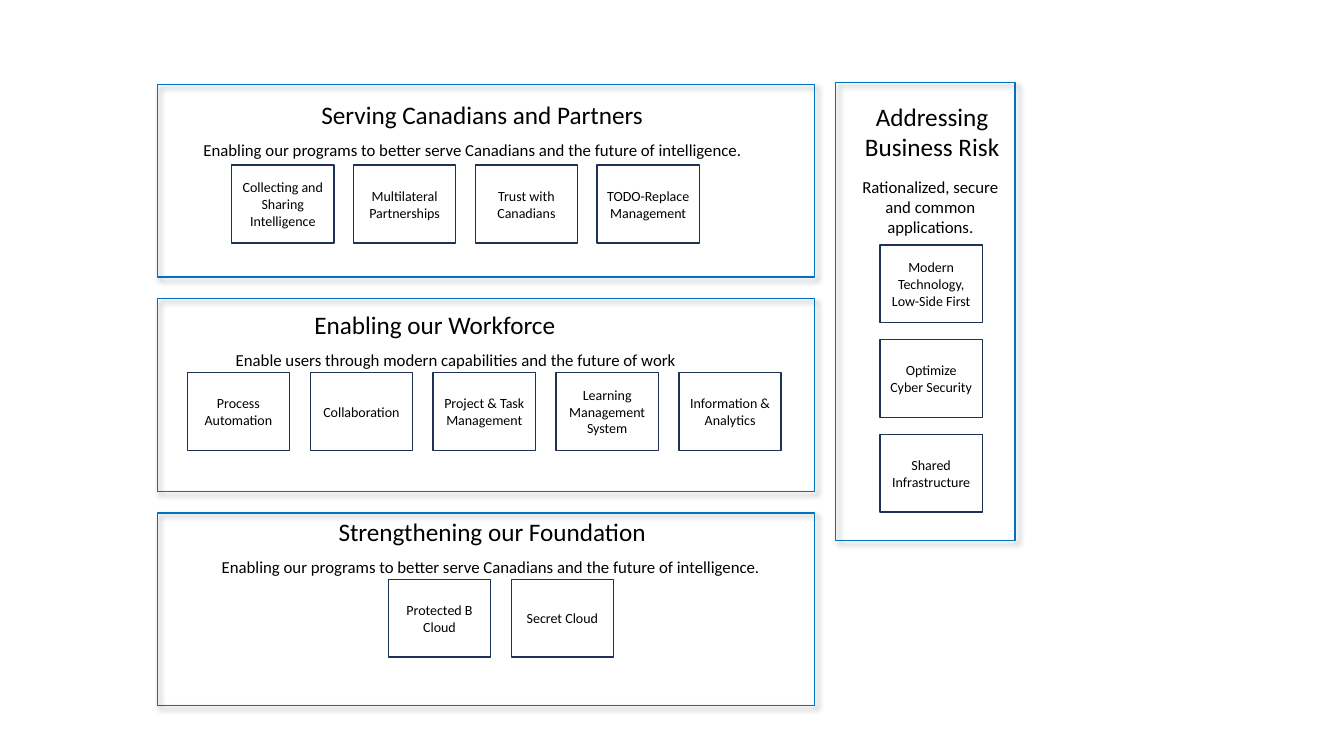
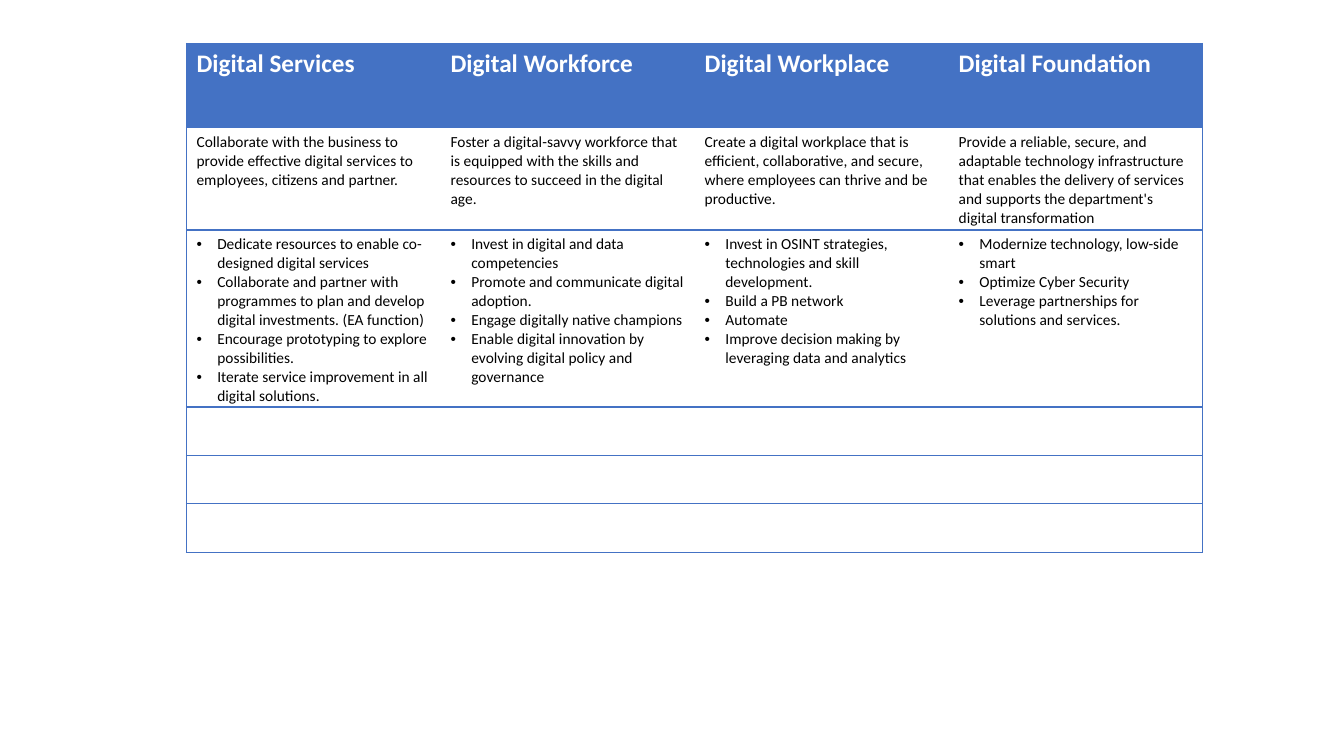
"""Build a two-slide digital strategy deck: priority map and pillar table."""
from lxml import etree
from pptx import Presentation
from pptx.dml.color import RGBColor
from pptx.enum.shapes import MSO_SHAPE
from pptx.enum.text import MSO_ANCHOR, MSO_AUTO_SIZE, PP_ALIGN
from pptx.oxml.ns import qn
from pptx.util import Pt

BLACK = RGBColor(0x00, 0x00, 0x00)
WHITE = RGBColor(0xFF, 0xFF, 0xFF)
NAVY = RGBColor(0x1E, 0x32, 0x56)
FRAME_BLUE = RGBColor(0x00, 0x70, 0xC0)
TABLE_BLUE = RGBColor(0x44, 0x72, 0xC4)
FONT = "Calibri"
TILE_WIDTH, TILE_HEIGHT = 73, 55.5


def write(frame, text, size, align=PP_ALIGN.LEFT, color=BLACK, bold=False):
    frame.text = text
    for paragraph in frame.paragraphs:
        paragraph.alignment = align
        for run in paragraph.runs:
            run.font.name = FONT
            run.font.size = Pt(size)
            run.font.bold = bold
            run.font.color.rgb = color


def add_box(shapes, left, top, width, height, outline):
    box = shapes.add_shape(MSO_SHAPE.RECTANGLE, Pt(left), Pt(top), Pt(width), Pt(height))
    box.shadow.inherit = False
    box.fill.background()
    box.line.color.rgb = outline
    box.line.width = Pt(1)
    return box


deck = Presentation()
deck.slide_width, deck.slide_height = Pt(960), Pt(540)
blank = deck.slide_layouts[6]

priorities = deck.slides.add_slide(blank)
pillar_group = priorities.shapes.add_group_shape()
risk_group = priorities.shapes.add_group_shape()

PROGRAMS = "Enabling our programs to better serve Canadians and the future of intelligence."
# group, wrapped, (text, left, top, width, height) twice, tile origin, tile step, tiles
sections = [
    (pillar_group, False,
     ("Serving Canadians and Partners", 222.5, 67.7, 247, 29),
     (PROGRAMS, 138.2, 96.5, 403, 22),
     (165.5, 118), (87, 0),
     ["Collecting and Sharing Intelligence", "Multilateral Partnerships",
      "Trust with Canadians", "TODO-Replace\nManagement"]),
    (pillar_group, False,
     ("Enabling our Workforce", 217.4, 217.4, 188.6, 29),
     ("Enable users through modern capabilities and the future of work",
      161.3, 246.2, 332, 22),
     (133.8, 266.2), (87.8, 0),
     ["Process Automation", "Collaboration", "Project & Task Management",
      "Learning Management System", "Information & Analytics"]),
    (pillar_group, False,
     ("Strengthening our Foundation", 234.7, 365.2, 237, 29),
     (PROGRAMS, 151.2, 394.4, 403, 22),
     (277.4, 413.8), (87.8, 0),
     ["Protected B Cloud", "Secret Cloud"]),
    (risk_group, True,
     ("Addressing Business Risk", 594.8, 69, 142, 51),
     ("Rationalized, secure and common applications.", 605.5, 122.4, 118, 51),
     (628.6, 175), (0, 67.7),
     ["Modern Technology, Low-Side First", "Optimize Cyber Security",
      "Shared Infrastructure"]),
]
for group, wrapped, heading, summary, origin, step, tiles in sections:
    for (text, left, top, width, height), size in ((heading, 18), (summary, 12)):
        label = group.shapes.add_textbox(Pt(left), Pt(top), Pt(width), Pt(height))
        write(label.text_frame, text, size, PP_ALIGN.CENTER if wrapped else PP_ALIGN.LEFT)
        label.text_frame.word_wrap = wrapped
        label.text_frame.auto_size = MSO_AUTO_SIZE.SHAPE_TO_FIT_TEXT
    for index, text in enumerate(tiles):
        tile = add_box(group.shapes, origin[0] + index * step[0],
                       origin[1] + index * step[1], TILE_WIDTH, TILE_HEIGHT, NAVY)
        tile.text_frame.word_wrap = True
        tile.text_frame.vertical_anchor = MSO_ANCHOR.MIDDLE
        write(tile.text_frame, text, 10, PP_ALIGN.CENTER)

panels = [(597, 59, 128, 327)] + [(112.3, 60.4 + 153 * row, 469.5, 137.5) for row in range(3)]
for bounds in panels:
    panel = add_box(priorities.shapes, *bounds, FRAME_BLUE)
    effects = panel._element.spPr.find(qn("a:effectLst"))
    shadow = etree.SubElement(effects, qn("a:outerShdw"), blurRad=str(Pt(4)),
                              dist=str(Pt(3)), dir="2700000", algn="tl", rotWithShape="0")
    tint = etree.SubElement(shadow, qn("a:srgbClr"), val=str(BLACK))
    etree.SubElement(tint, qn("a:alpha"), val="40000")

pillars = [
    ("Digital Services",
     "Collaborate with the business to provide effective digital services to employees, "
     "citizens and partner.",
     ["Dedicate resources to enable co-designed digital services",
      "Collaborate and partner with programmes to plan and develop digital investments. "
      "(EA function)",
      "Encourage prototyping to explore possibilities.",
      "Iterate service improvement in all digital solutions."]),
    ("Digital Workforce",
     "Foster a digital-savvy workforce that is equipped with the skills and resources to "
     "succeed in the digital age.",
     ["Invest in digital and data competencies",
      "Promote and communicate digital adoption.",
      "Engage digitally native champions",
      "Enable digital innovation by evolving digital policy and governance"]),
    ("Digital Workplace",
     "Create a digital workplace that is efficient, collaborative, and secure, where "
     "employees can thrive and be productive.",
     ["Invest in OSINT strategies, technologies and skill development.",
      "Build a PB network",
      "Automate",
      "Improve decision making by leveraging data and analytics"]),
    ("Digital Foundation",
     "Provide a reliable, secure, and adaptable technology infrastructure that enables the "
     "delivery of services and supports the department's digital transformation",
     ["Modernize technology, low-side smart",
      "Optimize Cyber Security",
      "Leverage partnerships for solutions and services."]),
]
row_heights = [60, 73, 126.5, 34.6, 34.6, 34.6]
column_width = 181.5

strategy = deck.slides.add_slide(blank)
grid = strategy.shapes.add_table(
    len(row_heights), len(pillars), Pt(133.2), Pt(31),
    Pt(column_width * len(pillars)), Pt(sum(row_heights))).table
grid.horz_banding = False
for row, height in zip(grid.rows, row_heights):
    row.height = Pt(height)

for column, (title, purpose, actions) in enumerate(pillars):
    grid.columns[column].width = Pt(column_width)
    ruled = {"lnL": column == 0, "lnR": column == len(pillars) - 1, "lnT": True, "lnB": True}
    for row in range(len(row_heights)):
        cell = grid.cell(row, column)
        properties = cell._tc.get_or_add_tcPr()
        for side, visible in ruled.items():
            edge = etree.SubElement(properties, qn(f"a:{side}"), w=str(Pt(1)))
            if visible:
                paint = etree.SubElement(edge, qn("a:solidFill"))
                etree.SubElement(paint, qn("a:srgbClr"), val=str(TABLE_BLUE))
            else:
                etree.SubElement(edge, qn("a:noFill"))
        cell.fill.solid()
        cell.fill.fore_color.rgb = TABLE_BLUE if row == 0 else WHITE
    write(grid.cell(0, column).text_frame, title, 18, color=WHITE, bold=True)
    write(grid.cell(1, column).text_frame, purpose, 11)
    action_list = grid.cell(2, column).text_frame
    write(action_list, "\n".join(actions), 11)
    for action in action_list.paragraphs:
        layout = action._p.get_or_add_pPr()
        layout.set("marL", str(Pt(14.8)))
        layout.set("indent", str(-Pt(14.8)))
        etree.SubElement(layout, qn("a:buFont"), typeface="Arial")
        etree.SubElement(layout, qn("a:buChar"), char="•")

deck.save("out.pptx")
